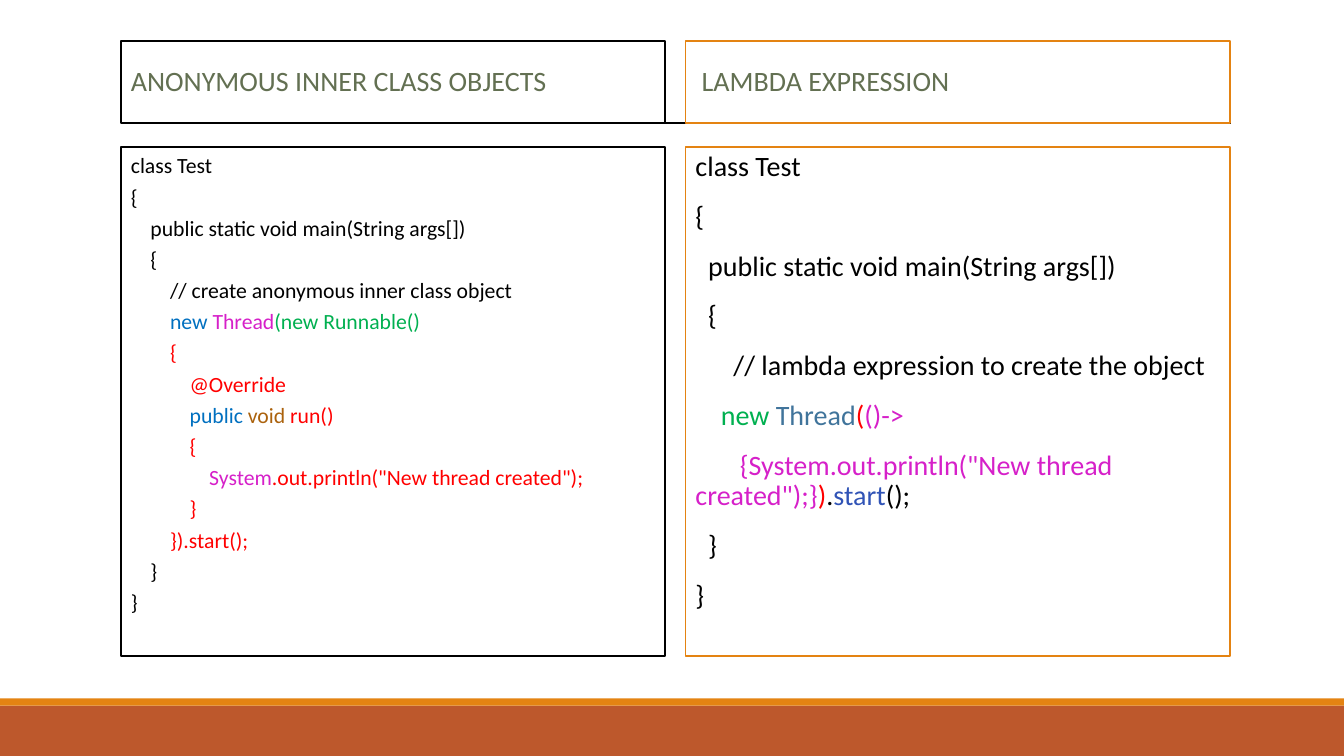
from lxml import etree
from pptx import Presentation
from pptx.dml.color import RGBColor
from pptx.enum.shapes import MSO_CONNECTOR as CONN, MSO_SHAPE as SHAPE
from pptx.enum.text import MSO_ANCHOR as ANCHOR, PP_ALIGN as ALIGN
from pptx.oxml.ns import qn
from pptx.util import Inches, Pt

WHITE = RGBColor(0xFF, 0xFF, 0xFF)
BLACK = RGBColor(0x00, 0x00, 0x00)
RUST = RGBColor(0xBD, 0x58, 0x2C)
ORANGE = RGBColor(0xE4, 0x83, 0x12)
OLIVE = RGBColor(0x63, 0x70, 0x52)
BLUE = RGBColor(0x00, 0x70, 0xC0)
MAGENTA = RGBColor(0xD6, 0x20, 0xC9)
GREEN = RGBColor(0x00, 0xB0, 0x50)
RED = RGBColor(0xFF, 0x00, 0x00)
BROWN = RGBColor(0xAB, 0x62, 0x0D)
STEEL = RGBColor(0x40, 0x74, 0x9B)
NAVY = RGBColor(0x30, 0x53, 0xB6)

ANONYMOUS_CODE = [
    [("class Test", BLACK)],
    [("{", BLACK)],
    [("    public static void main(String args[])", BLACK)],
    [("    {", BLACK)],
    [("        // create anonymous inner class object", BLACK)],
    [("        new ", BLUE), ("Thread", MAGENTA), ("(new Runnable()", GREEN)],
    [("        {", RED)],
    [("            @Override", RED)],
    [("            public ", BLUE), ("void", BROWN), (" run()", RED)],
    [("            {", RED)],
    [("                System", MAGENTA),
     ('.out.println("New thread created");', RED)],
    [("            }", RED)],
    [("        }).start();", RED)],
    [("    }", BLACK)],
    [("}", BLACK)],
]
LAMBDA_CODE = [
    [("class Test", BLACK)],
    [("{", BLACK)],
    [("  public static void main(String args[])", BLACK)],
    [("  {", BLACK)],
    [("      // lambda expression to create the object", BLACK)],
    [("    new ", GREEN), ("Thread", STEEL), ("(", RED), ("()->", MAGENTA)],
    [('       {System.out.println("New thread created");}', MAGENTA),
     (")", RED), (".", BLACK), ("start", NAVY), ("();", BLACK)],
    [("  }", BLACK)],
    [("}", BLACK)],
]


class Deck:
    font = "Calibri"

    def __init__(self):
        self.prs = Presentation()
        self.prs.slide_width = Inches(13.33)
        self.prs.slide_height = Inches(7.5)
        self.s = self.prs.slides.add_slide(self.prs.slide_layouts[6])

    def rect(self, x, y, w, h, fill, line=None):
        sp = self.s.shapes.add_shape(
            SHAPE.RECTANGLE, Inches(x), Inches(y), Inches(w), Inches(h))
        sp.shadow.inherit = False
        sp.fill.solid()
        sp.fill.fore_color.rgb = fill
        if line is None:
            sp.line.fill.background()
        else:
            sp.line.color.rgb = line
            sp.line.width = Pt(1.25)
        return sp

    def rule(self, x1, y1, x2, y2, color):
        cn = self.s.shapes.add_connector(
            CONN.STRAIGHT, Inches(x1), Inches(y1), Inches(x2), Inches(y2))
        cn.line.color.rgb = color
        cn.line.width = Pt(1)
        etree.SubElement(cn._element.spPr, qn("a:effectLst"))

    def text(self, sp, lines, size=20, anchor=ANCHOR.TOP, left=0.1, right=0,
             spacing=0.9, before=12, after=2):
        tf = sp.text_frame
        tf.word_wrap = True
        tf.vertical_anchor = anchor
        tf.margin_left, tf.margin_right = Inches(left), Inches(right)
        tf.margin_top = tf.margin_bottom = Inches(0.05)
        for i, runs in enumerate(lines):
            p = tf.add_paragraph() if i else tf.paragraphs[0]
            p.alignment = ALIGN.LEFT
            p.line_spacing = spacing
            p.space_before = Pt(before if i else 0)
            p.space_after = Pt(after)
            for content, color in runs:
                r = p.add_run()
                r.text = content
                r.font.name = self.font
                r.font.size = Pt(size)
                r.font.color.rgb = color

    def column(self, x, title, code, line, title_left=0.1, **code_format):
        heading = self.rect(x, 0.41, 5.4, 0.81, WHITE, line)
        self.text(heading, [[(title, OLIVE)]], anchor=ANCHOR.MIDDLE,
                  left=title_left, right=0.1)
        body = self.rect(x, 1.46, 5.4, 5.05, WHITE, line)
        self.text(body, code, **code_format)


def main():
    deck = Deck()
    deck.rect(0, 7, 13.33, 0.5, RUST)
    deck.rect(0, 6.93, 13.33, 0.07, ORANGE)
    deck.rule(1.31, 1.22, 12.21, 1.22, BLACK)
    deck.column(1.2, "ANONYMOUS INNER CLASS OBJECTS", ANONYMOUS_CODE, BLACK,
                size=15.5, spacing=1.0, before=1.85, after=1.85)
    deck.column(6.8, "LAMBDA EXPRESSION", LAMBDA_CODE, ORANGE, title_left=0.16)
    deck.prs.save("out.pptx")


if __name__ == "__main__":
    main()
